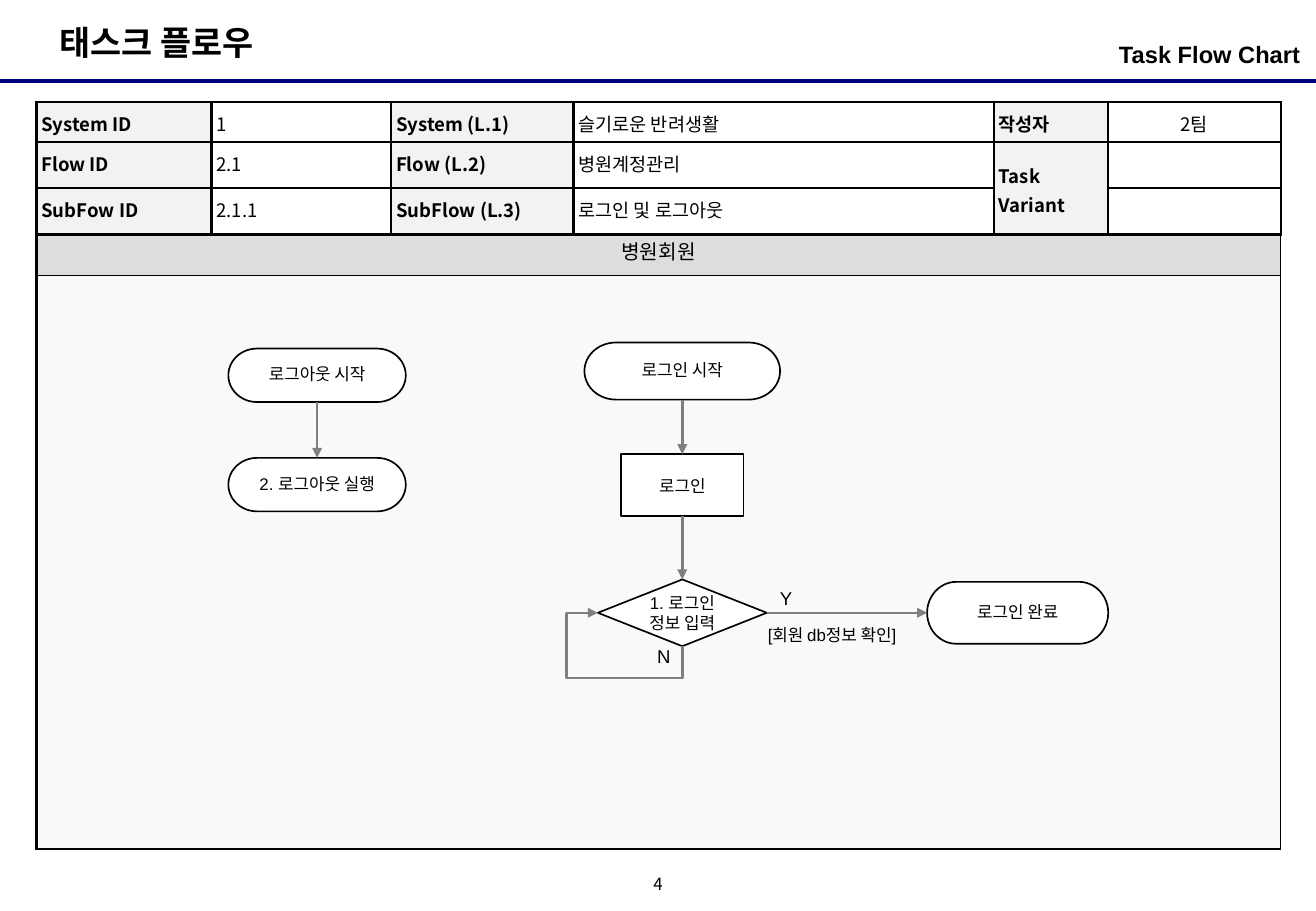
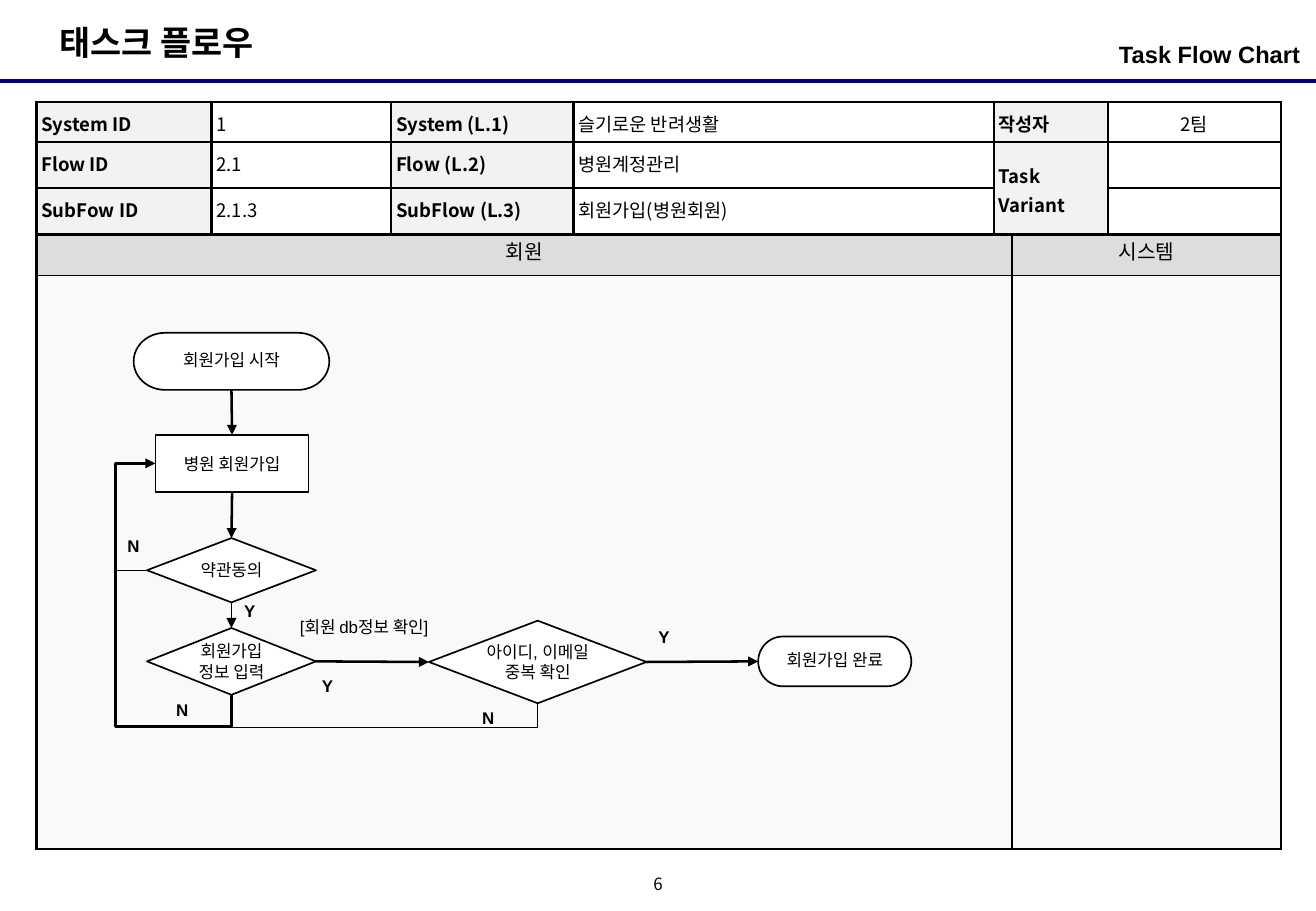
from lxml import etree
from pptx import Presentation
from pptx.dml.color import RGBColor
from pptx.enum.shapes import MSO_CONNECTOR, MSO_SHAPE
from pptx.enum.text import MSO_ANCHOR, PP_ALIGN
from pptx.oxml.ns import qn
from pptx.util import Inches, Pt

BLACK = RGBColor(0x00, 0x00, 0x00)
WHITE = RGBColor(0xFF, 0xFF, 0xFF)
NAVY = RGBColor(0x00, 0x00, 0x80)
GRAY = RGBColor(0x7F, 0x7F, 0x7F)
LABEL_FILL = RGBColor(0xF2, 0xF2, 0xF2)
LANE_HEAD_FILL = RGBColor(0xDD, 0xDD, 0xDD)
LANE_FILL = RGBColor(0xF9, 0xF9, 0xF9)

LATIN = "Arial"
KOREAN = "Noto Sans CJK KR"

STRAIGHT, ELBOW = MSO_CONNECTOR.STRAIGHT, MSO_CONNECTOR.ELBOW
TERMINATOR = MSO_SHAPE.FLOWCHART_TERMINATOR
DECISION = MSO_SHAPE.FLOWCHART_DECISION
PROCESS = MSO_SHAPE.RECTANGLE
LEFT, CENTER, RIGHT = PP_ALIGN.LEFT, PP_ALIGN.CENTER, PP_ALIGN.RIGHT
TOP_ANCHOR, MIDDLE = MSO_ANCHOR.TOP, MSO_ANCHOR.MIDDLE
TOP_SIDE, LEFT_SIDE, BOTTOM_SIDE, RIGHT_SIDE = range(4)

MARGIN_LEFT = 0.3
HEADER_TOP, HEADER_COLUMNS, HEADER_ROWS = 0.84, (1.44, 1.48, 1.5, 3.46, 0.94, 1.42), (0.33, 0.36, 0.36)
LANES_TOP, LANE_ROWS = 1.86, (0.41, 4.72)
LABEL_COLUMNS, AUTHOR_COLUMN, VARIANT_COLUMN = (0, 2, 4), 4, 5


def inches(*values):
    return [Inches(value) for value in values]


def set_attributes(target, values):
    for name, value in values.items():
        setattr(target, name, value)


def write(frame, text, size, bold=False, align=LEFT, spacing=None, font=LATIN):
    """Fill a text frame, one paragraph for each line of the text."""
    frame.text = text
    for paragraph in frame.paragraphs:
        set_attributes(paragraph, {"alignment": align, "line_spacing": spacing})
        for run in paragraph.runs:
            set_attributes(run.font, {"size": Pt(size), "bold": bold, "name": font})
            run.font.color.rgb = BLACK
            etree.SubElement(run.font._element, qn("a:ea"), typeface=KOREAN)


def add_text(slide, box, text, size, anchor=TOP_ANCHOR, insets=(0.1, 0.05), **style):
    frame = slide.shapes.add_textbox(*inches(*box)).text_frame
    side, end = inches(*insets)
    set_attributes(frame, {
        "word_wrap": True, "vertical_anchor": anchor,
        "margin_left": side, "margin_right": side, "margin_top": end, "margin_bottom": end,
    })
    write(frame, text, size, **style)


def add_node(slide, kind, box, text):
    shape = slide.shapes.add_shape(kind, *inches(*box))
    shape.shadow.inherit = False
    shape.fill.solid()
    shape.fill.fore_color.rgb = WHITE
    shape.line.color.rgb = BLACK
    shape.line.width = Pt(1)
    set_attributes(shape.text_frame, {
        "word_wrap": True, "vertical_anchor": MIDDLE, "margin_left": Inches(0.02),
        "margin_right": Inches(0.02), "margin_top": 0, "margin_bottom": 0,
    })
    write(shape.text_frame, text, 10, align=CENTER, spacing=0.9 if kind == TERMINATOR else None)
    return shape


def add_line(slide, kind, points, color, width, arrow=False):
    connector = slide.shapes.add_connector(kind, *points)
    connector.line.color.rgb = color
    connector.line.width = Pt(width)
    if arrow:
        etree.SubElement(connector.line._get_or_add_ln(), qn("a:tailEnd"), type="triangle")
    etree.SubElement(connector._element.spPr, qn("a:effectLst"))
    return connector


def add_arrow(slide, source, target, color, width=1.5, sides=(BOTTOM_SIDE, TOP_SIDE)):
    connector = add_line(slide, STRAIGHT, (0, 0, 0, 0), color, width, arrow=True)
    connector.begin_connect(source, sides[0])
    connector.end_connect(target, sides[1])


def set_bends(connector, preset, *bends):
    """Choose the elbow preset and place its bends as shares of its size."""
    geometry = connector._element.spPr.find(qn("a:prstGeom"))
    geometry.set("prst", preset)
    guides = geometry.find(qn("a:avLst"))
    if guides is None:
        guides = etree.SubElement(geometry, qn("a:avLst"))
    for number, bend in enumerate(bends, 1):
        etree.SubElement(guides, qn("a:gd"), name=f"adj{number}", fmla=f"val {round(bend * 100000)}")


def add_return(slide, source, target, bottom, left, color, width=1.5, arrow=True):
    """Lead from the bottom of source down, left and up to the left side of target."""
    start_x, start_y = source.left + source.width // 2, source.top + source.height
    end_x, end_y = target.left, target.top + target.height // 2
    run, rise = start_x - end_x, start_y - end_y
    box_left = (start_x + end_x - rise) // 2
    box_top = (start_y + end_y - run) // 2
    points = (box_left, box_top, box_left + rise, box_top + run)
    connector = add_line(slide, ELBOW, points, color, width, arrow)
    transform = connector._element.spPr.find(qn("a:xfrm"))
    transform.set("rot", "5400000")
    transform.set("flipH", "1")
    set_bends(connector, "bentConnector4",
              (start_y - Inches(bottom)) / rise, (start_x - Inches(left)) / run)


def add_side_return(slide, source, target, left, color, width):
    """Lead from the left side of source to the left side of target."""
    start_x, start_y = source.left, source.top + source.height // 2
    end_x, end_y = target.left, target.top + target.height // 2
    connector = add_line(slide, ELBOW, (start_x, start_y, end_x, end_y), color, width)
    set_bends(connector, "bentConnector3", (Inches(left) - start_x) / (end_x - start_x))


def add_grid(slide, top, columns, rows):
    box = inches(MARGIN_LEFT, top, sum(columns), sum(rows))
    table = slide.shapes.add_table(len(rows), len(columns), *box).table
    set_attributes(table, {"first_row": False, "horz_banding": False})
    for column, width in zip(table.columns, columns):
        column.width = Inches(width)
    for row, height in zip(table.rows, rows):
        row.height = Inches(height)
    return table


def style_cell(cell, fill, insets, borders=(1.5, 1.5, 1.5, 1.5), anchor=MIDDLE):
    """Set fill, insets and the left, right, top and bottom borders."""
    properties = cell._tc.get_or_add_tcPr()
    for side, width in zip("LRTB", borders):
        line = etree.SubElement(properties, qn(f"a:ln{side}"), w=str(Pt(width)))
        solid = etree.SubElement(line, qn("a:solidFill"))
        etree.SubElement(solid, qn("a:srgbClr"), val=str(BLACK))
    cell.fill.solid()
    cell.fill.fore_color.rgb = fill
    side, end = inches(*insets)
    set_attributes(cell, {
        "vertical_anchor": anchor, "margin_left": side, "margin_right": side,
        "margin_top": end, "margin_bottom": end,
    })


def add_header_table(slide, subflow_id, subflow_name):
    rows = (
        ("System ID", "1", "System (L.1)", "슬기로운 반려생활", "작성자", "2팀"),
        ("Flow ID", "2.1", "Flow (L.2)", "병원계정관리", "Task Variant", ""),
        ("SubFow ID", subflow_id, "SubFlow (L.3)", subflow_name, "", ""),
    )
    table = add_grid(slide, HEADER_TOP, HEADER_COLUMNS, HEADER_ROWS)
    for row, texts in enumerate(rows):
        for column, text in enumerate(texts):
            cell = table.cell(row, column)
            is_label = column in LABEL_COLUMNS
            style_cell(cell, LABEL_FILL if is_label else WHITE, (0.04, 0.04),
                       anchor=MIDDLE if column >= AUTHOR_COLUMN else TOP_ANCHOR)
            if text:
                write(cell.text_frame, text, 11, bold=is_label, spacing=1.1, font=KOREAN,
                      align=CENTER if column == VARIANT_COLUMN else LEFT)
    table.cell(1, AUTHOR_COLUMN).merge(table.cell(2, AUTHOR_COLUMN))


def add_lanes(slide, lanes, right_border):
    table = add_grid(slide, LANES_TOP, list(lanes.values()), LANE_ROWS)
    for column, name in enumerate(lanes):
        head, body = table.cell(0, column), table.cell(1, column)
        style_cell(head, LANE_HEAD_FILL, (0.1, 0.05), (1.5, right_border, 1.5, 0.75))
        style_cell(body, LANE_FILL, (0.1, 0.05), (1.5, right_border, 0.75, 1.5))
        write(head.text_frame, name, 12, align=CENTER)


def add_flow_slide(presentation, page, subflow_id, subflow_name, lanes, right_border):
    slide = presentation.slides.add_slide(presentation.slide_layouts[6])
    add_line(slide, STRAIGHT, inches(0, 0.67, 10.83, 0.67), NAVY, 2.25)
    add_text(slide, (0.39, 0.13, 1.98, 0.44), "태스크 플로우", 20, bold=True)
    add_text(slide, (5.25, 7.17, 0.33, 0.25), page, 10, MIDDLE, (0, 0),
             align=CENTER, spacing=0.8, font=KOREAN)
    add_text(slide, (7.39, 0.28, 3.31, 0.39), "Task Flow Chart", 14, insets=(0, 0.05),
             bold=True, align=RIGHT)
    add_lanes(slide, lanes, right_border)
    add_header_table(slide, subflow_id, subflow_name)
    return slide


def add_labels(slide, labels, width, height, size, bold=False):
    for left, top, text in labels:
        add_text(slide, (left, top, width, height), text, size, bold=bold)


def build_login_slide(presentation):
    slide = add_flow_slide(presentation, "4", "2.1.1", "로그인 및 로그아웃", {"병원회원": 10.24}, 0.75)
    logout_start = add_node(slide, TERMINATOR, (1.88, 2.87, 1.46, 0.44), "로그아웃 시작")
    logout = add_node(slide, TERMINATOR, (1.88, 3.77, 1.46, 0.44), "2. 로그아웃 실행")
    login_start = add_node(slide, TERMINATOR, (4.81, 2.82, 1.61, 0.47), "로그인 시작")
    login = add_node(slide, PROCESS, (5.11, 3.74, 1.01, 0.51), "로그인")
    entry = add_node(slide, DECISION, (4.92, 4.77, 1.39, 0.55), "1. 로그인\n정보 입력")
    done = add_node(slide, TERMINATOR, (7.63, 4.79, 1.49, 0.51), "로그인 완료")

    for source, target in ((logout_start, logout), (login_start, login), (login, entry)):
        add_arrow(slide, source, target, GRAY)
    add_arrow(slide, entry, done, GRAY, sides=(RIGHT_SIDE, LEFT_SIDE))
    add_return(slide, entry, entry, 5.58, 4.66, GRAY)

    add_labels(slide, ((6.32, 4.78, "Y"), (5.31, 5.26, "N")), 0.79, 0.29, 11)
    add_labels(slide, ((6.22, 5.09, "[회원 db정보 확인]"),), 1.49, 0.27, 10)


def build_signup_slide(presentation):
    slide = add_flow_slide(presentation, "6", "2.1.3", "회원가입(병원회원)", {"회원": 8.03, "시스템": 2.21}, 1.5)
    start = add_node(slide, TERMINATOR, (1.1, 2.74, 1.61, 0.47), "회원가입 시작")
    signup = add_node(slide, PROCESS, (1.28, 3.58, 1.26, 0.47), "병원 회원가입")
    terms = add_node(slide, DECISION, (1.21, 4.43, 1.39, 0.53), "약관동의")
    entry = add_node(slide, DECISION, (1.21, 5.17, 1.39, 0.55), "회원가입\n정보 입력")
    duplicate = add_node(slide, DECISION, (3.53, 5.11, 1.79, 0.68), "아이디, 이메일 중복 확인")
    done = add_node(slide, TERMINATOR, (6.24, 5.24, 1.26, 0.41), "회원가입 완료")

    for source, target, width in ((start, signup, 1.5), (signup, terms, 1.5), (terms, entry, 0.75)):
        add_arrow(slide, source, target, BLACK, width)
    for source, target in ((entry, duplicate), (duplicate, done)):
        add_arrow(slide, source, target, BLACK, sides=(RIGHT_SIDE, LEFT_SIDE))
    add_return(slide, entry, signup, 5.98, 0.95, BLACK)
    add_side_return(slide, terms, signup, 0.95, BLACK, 0.75)
    add_return(slide, duplicate, signup, 5.99, 0.96, BLACK, 0.75, arrow=False)

    answers = (
        (1.91, 4.9, "Y"), (2.55, 5.51, "Y"), (5.32, 5.11, "Y"),
        (0.95, 4.36, "N"), (1.35, 5.71, "N"), (3.87, 5.78, "N"),
    )
    add_labels(slide, answers, 0.38, 0.27, 10, bold=True)
    add_labels(slide, ((2.37, 5.03, "[회원 db정보 확인]"),), 1.49, 0.27, 10)


def main():
    presentation = Presentation()
    presentation.slide_width, presentation.slide_height = inches(10.83, 7.5)
    build_login_slide(presentation)
    build_signup_slide(presentation)
    presentation.save("out.pptx")


if __name__ == "__main__":
    main()
